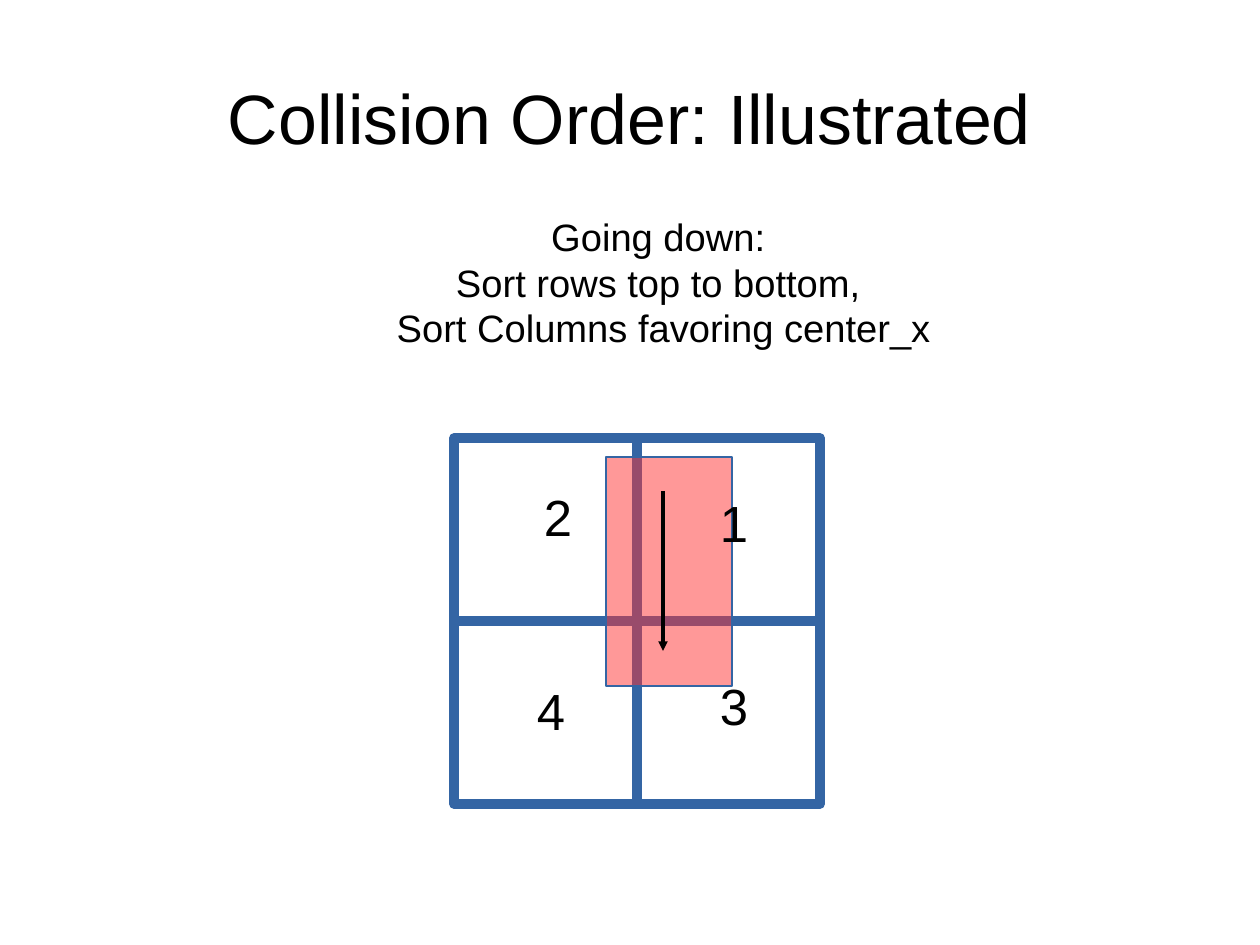
"""Build the slide that shows collision order for a sprite going down."""
from dataclasses import dataclass
from itertools import product

from lxml import etree
from pptx import Presentation
from pptx import util as u
from pptx.dml import color
from pptx.enum import shapes, text
from pptx.oxml import ns

PX = 8000


@dataclass(frozen=True)
class Theme:
    font: str = "Arial"
    ink: str = "000000"
    grid: str = "3465A4"
    sprite: str = "FF3333"
    sprite_alpha: int = 50
    grid_width: float = 6
    title_size: int = 44
    body_size: int = 24
    body_leading: float = 28.7
    number_size: int = 32


@dataclass(frozen=True)
class Box:
    x: int
    y: int
    w: int
    h: int


@dataclass(frozen=True)
class Label:
    box: Box
    lines: tuple[str, ...]
    size: int
    centred: bool = False
    wrap: bool = True
    middle: bool = False
    inset: tuple[int, int] = (11, 6)
    leading: float | None = None


THEME = Theme()
TILE = 183
GRID_X, GRID_Y = 454, 438
TILES = [Box(GRID_X + col * TILE, GRID_Y + row * TILE, TILE, TILE)
         for row, col in product(range(2), repeat=2)]
SPRITE = Box(606, 457, 126, 229)
ARROW = Box(663, 491, 0, 160)
NUMBERS = {"1": (709, 486), "2": (533, 480), "3": (709, 669), "4": (526, 674)}
LABELS = [
    Label(Box(63, 38, 1134, 158), ("Collision Order: Illustrated",),
          THEME.title_size, centred=True, middle=True, inset=(0, 0)),
    *(Label(Box(x, y, 50, 74), (number,), THEME.number_size, wrap=False)
      for number, (x, y) in NUMBERS.items()),
    Label(Box(378, 208, 571, 206),
          ("Going down: ", "Sort rows top to bottom, ", "Sort Columns favoring center_x"),
          THEME.body_size, centred=True, leading=THEME.body_leading),
]


def rgb(value: str) -> color.RGBColor:
    """Turn a hex string into a colour."""
    return color.RGBColor.from_string(value)


def emu(*pixels: int) -> list[u.Emu]:
    """Turn pixels into EMU."""
    return [u.Emu(p * PX) for p in pixels]


def add_rect(slide, box: Box, width: float, fill: str | None = None, alpha: int = 100) -> None:
    """Draw an outlined rectangle with an optional translucent fill."""
    s = slide.shapes.add_shape(shapes.MSO_SHAPE.RECTANGLE, *emu(box.x, box.y, box.w, box.h))
    s.shadow.inherit = False
    s.line.color.rgb = rgb(THEME.grid)
    s.line.width = u.Pt(width)
    if fill is None:
        s.fill.background()
        return
    s.fill.solid()
    s.fill.fore_color.rgb = rgb(fill)
    clr = s.fill._xPr.find(".//" + ns.qn("a:srgbClr"))
    etree.SubElement(clr, ns.qn("a:alpha"), val=str(alpha * 1000))


def add_arrow(slide, box: Box) -> None:
    """Draw a hairline arrow across the box."""
    s = slide.shapes.add_connector(shapes.MSO_CONNECTOR.STRAIGHT,
                                   *emu(box.x, box.y, box.x + box.w, box.y + box.h))
    s.line.color.rgb = rgb(THEME.ink)
    s.line.width = u.Pt(0)
    etree.SubElement(s.line._get_or_add_ln(), ns.qn("a:tailEnd"), type="triangle")
    etree.SubElement(s._element.spPr, ns.qn("a:effectLst"))


def add_label(slide, label: Label) -> None:
    """Draw a text box with one paragraph per line."""
    box = label.box
    tf = slide.shapes.add_textbox(*emu(box.x, box.y, box.w, box.h)).text_frame
    tf.word_wrap = label.wrap
    tf.vertical_anchor = text.MSO_ANCHOR.MIDDLE if label.middle else text.MSO_ANCHOR.TOP
    tf.margin_left, tf.margin_top = tf.margin_right, tf.margin_bottom = emu(*label.inset)
    for i, line in enumerate(label.lines):
        p = tf.add_paragraph() if i else tf.paragraphs[0]
        p.alignment = text.PP_ALIGN.CENTER if label.centred else text.PP_ALIGN.LEFT
        if label.leading:
            p.line_spacing = u.Pt(label.leading)
        r = p.add_run()
        r.text = line
        r.font.name = THEME.font
        r.font.size = u.Pt(label.size)
        r.font.color.rgb = rgb(THEME.ink)


def main() -> None:
    """Build and save the slide."""
    prs = Presentation()
    prs.slide_width, prs.slide_height = emu(1260, 945)
    slide = prs.slides.add_slide(prs.slide_layouts[6])
    for tile in TILES:
        add_rect(slide, tile, THEME.grid_width)
    add_rect(slide, SPRITE, 0, THEME.sprite, THEME.sprite_alpha)
    add_arrow(slide, ARROW)
    for label in LABELS:
        add_label(slide, label)
    prs.save("out.pptx")


main()
